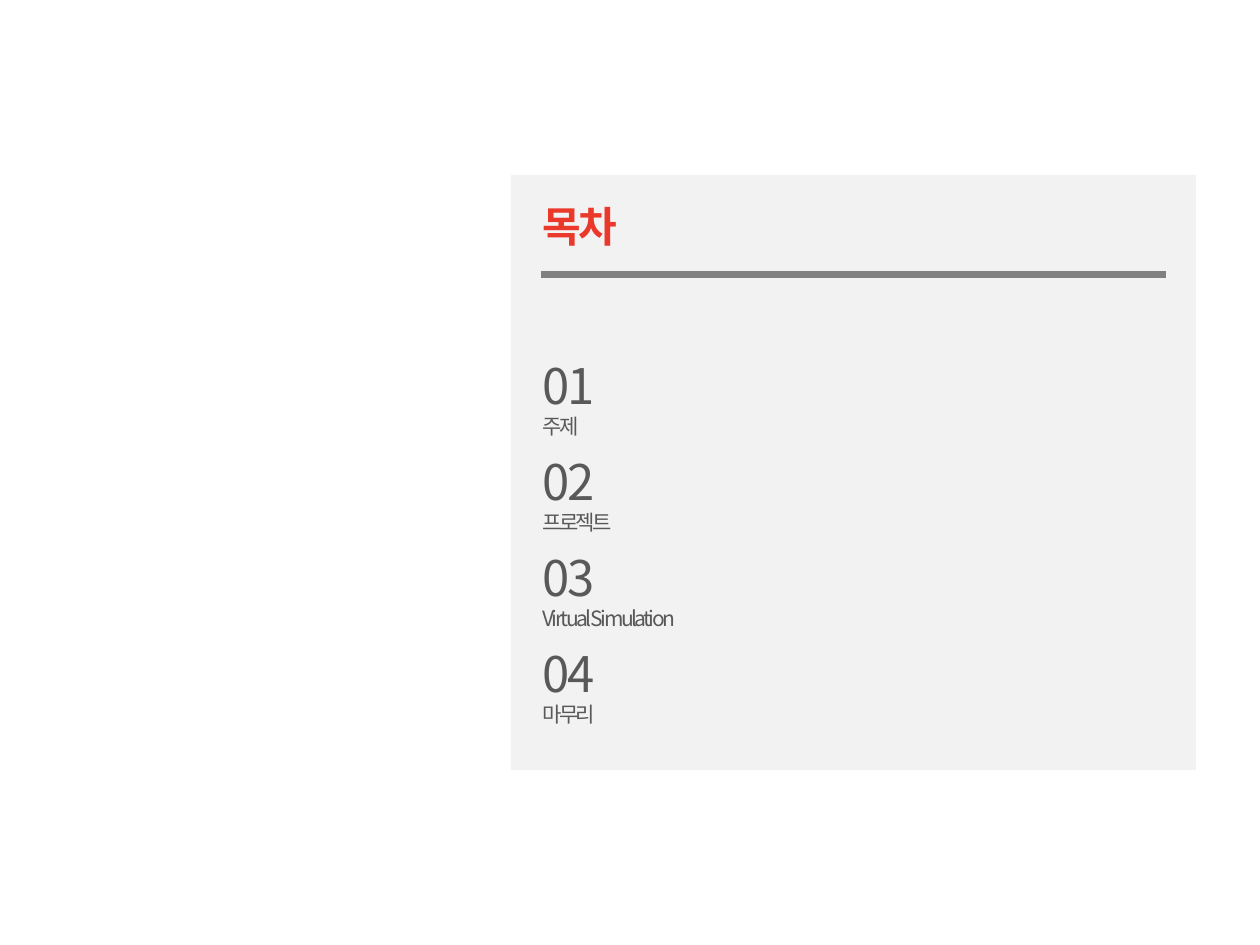
from pptx import Presentation
from pptx import util as u
from pptx.dml.color import RGBColor
from pptx.enum import shapes, text
from pptx.oxml.ns import qn
from lxml import etree

FONT = "Noto Sans CJK KR"
RED = RGBColor(0xEA, 0x38, 0x2A)
INK = RGBColor(0x59, 0x59, 0x59)
RULE = RGBColor(0x80, 0x80, 0x80)
PANEL = RGBColor(0xF2, 0xF2, 0xF2)


class ContentsSlide:
    """Draws the elements of a contents slide, with lengths in points."""

    def __init__(self, deck):
        self.slide = deck.slides.add_slide(deck.slide_layouts[5])
        self.shapes = self.slide.shapes

    def panel(self, left, top, width, height):
        panel = self.shapes.add_shape(
            shapes.MSO_SHAPE.RECTANGLE, u.Pt(left), u.Pt(top), u.Pt(width), u.Pt(height))
        panel.shadow.inherit = False
        panel.fill.solid()
        panel.fill.fore_color.rgb = PANEL
        panel.line.fill.background()

    def rule(self, left, right, y):
        rule = self.shapes.add_connector(
            shapes.MSO_CONNECTOR.STRAIGHT, u.Pt(left), u.Pt(y), u.Pt(right), u.Pt(y))
        rule.line.color.rgb = RULE
        rule.line.width = u.Pt(3)
        etree.SubElement(rule._element.spPr, qn("a:effectLst"))

    def label(self, box, words, size, color, bold=False):
        frame = box.text_frame
        frame.word_wrap = True
        frame.auto_size = text.MSO_AUTO_SIZE.SHAPE_TO_FIT_TEXT
        frame.vertical_anchor = text.MSO_ANCHOR.TOP
        paragraph = frame.paragraphs[0]
        paragraph.alignment = text.PP_ALIGN.LEFT
        paragraph.line_spacing = 0.88
        run = paragraph.add_run()
        run.text = words
        font = run.font
        font.name, font.size, font.bold = FONT, u.Pt(size), bold
        font.color.rgb = color
        properties = run._r.get_or_add_rPr()
        properties.set("spc", "-110")
        etree.SubElement(properties, qn("a:ea")).set("typeface", FONT)

    def title(self, words, left, top, width, height):
        title = self.shapes.title
        title.left, title.top = u.Pt(left), u.Pt(top)
        title.width, title.height = u.Pt(width), u.Pt(height)
        title._element.getparent().append(title._element)
        self.label(title, words, 18, RED, bold=True)

    def entry(self, number, topic, left, top):
        entry = self.shapes.add_group_shape()
        topic_box = entry.shapes.add_textbox(
            u.Pt(left), u.Pt(top + 23), u.Pt(164), u.Pt(18))
        self.label(topic_box, topic, 9, INK)
        number_box = entry.shapes.add_textbox(
            u.Pt(left), u.Pt(top), u.Pt(67.5), u.Pt(32.4))
        self.label(number_box, f"{number:02}", 21, INK)


def main():
    deck = Presentation()
    deck.slide_width, deck.slide_height = u.Pt(540), u.Pt(405)
    contents = ContentsSlide(deck)
    contents.panel(219, 75, 293.6, 255)
    contents.title("목차", 225.4, 85, 165.6, 28.8)
    contents.rule(231.8, 499.7, 117.5)
    topics = ["주제", "프로젝트", "Virtual Simulation", "마무리"]
    for index, topic in enumerate(topics):
        contents.entry(index + 1, topic, 225.4, 152 + 41.1 * index)
    deck.save("out.pptx")


if __name__ == "__main__":
    main()
